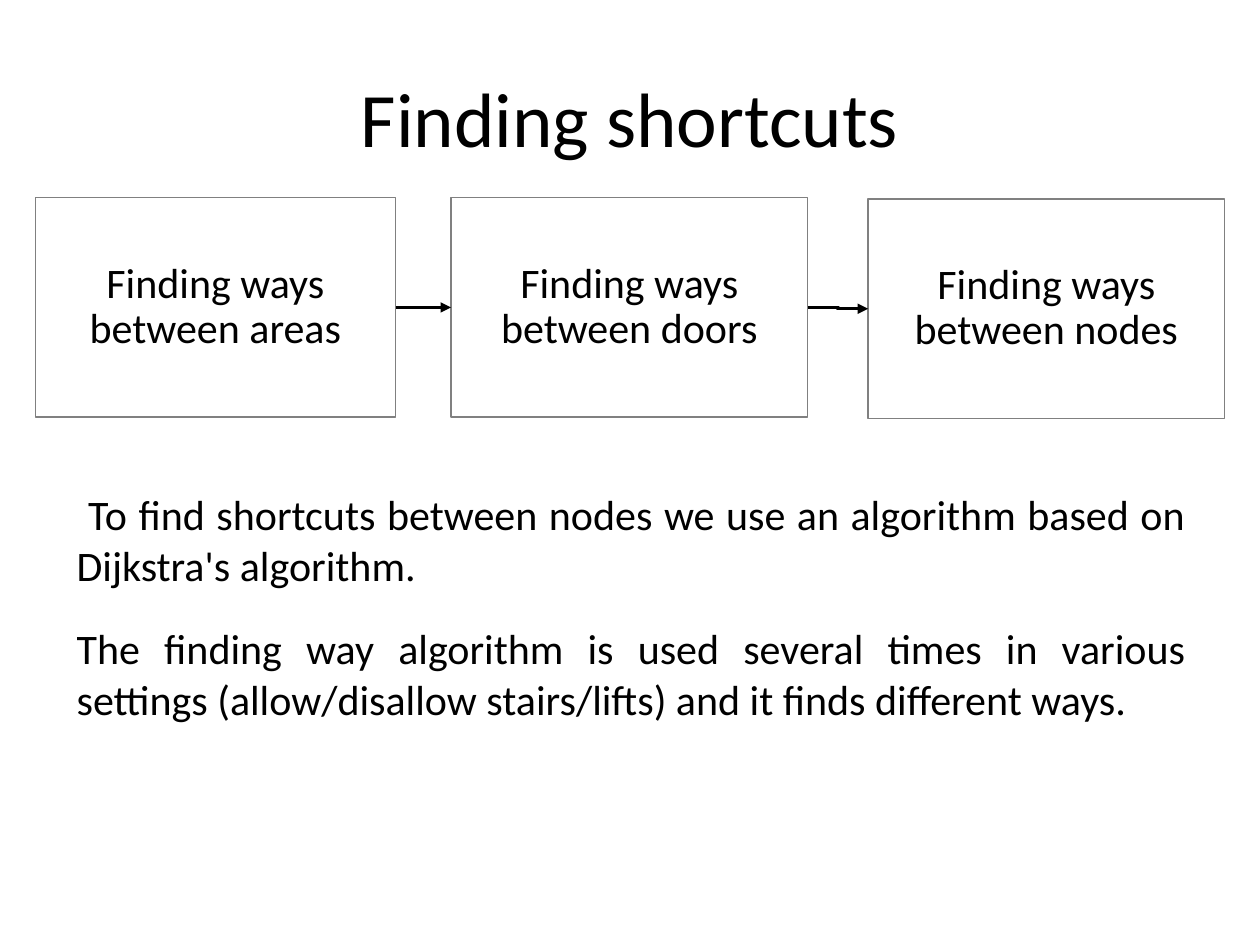
import pptx
import pptx.dml.color
import pptx.enum.shapes
import pptx.enum.text
import pptx.oxml
import pptx.oxml.ns
import pptx.util
from dataclasses import dataclass

Inches = pptx.util.Inches
Pt = pptx.util.Pt
Align = pptx.enum.text.PP_ALIGN
Anchor = pptx.enum.text.MSO_ANCHOR
Connector = pptx.enum.shapes.MSO_CONNECTOR


@dataclass(frozen=True)
class Theme:
    font: str = "Calibri"
    text: pptx.dml.color.RGBColor = pptx.dml.color.RGBColor(0, 0, 0)
    outline: pptx.dml.color.RGBColor = pptx.dml.color.RGBColor(0x80, 0x80, 0x80)
    title_size: pptx.util.Length = Pt(44)
    body_size: pptx.util.Length = Pt(24)
    hairline: pptx.util.Length = Pt(0)


theme = Theme()


def add_run(paragraph, text, size):
    run = paragraph.add_run()
    run.text = text
    run.font.name = theme.font
    run.font.size = size
    run.font.color.rgb = theme.text


presentation = pptx.Presentation()
presentation.slide_width = Inches(10)
presentation.slide_height = Inches(7.5)
slide = presentation.slides.add_slide(presentation.slide_layouts[6])

# Title
title = slide.shapes.add_textbox(Inches(0.5), Inches(0.3), Inches(9), Inches(1.25))
title.text_frame.word_wrap = True
title.text_frame.vertical_anchor = Anchor.MIDDLE
paragraph = title.text_frame.paragraphs[0]
paragraph.alignment = Align.CENTER
add_run(paragraph, "Finding shortcuts", theme.title_size)

# Explanation
body = slide.shapes.add_textbox(Inches(0.51), Inches(3.83), Inches(9), Inches(2.52))
body.text_frame.word_wrap = True
explanations = [
    " To find shortcuts between nodes we use an algorithm based on Dijkstra's algorithm.",
    "The finding way algorithm is used several times in various settings "
    "(allow/disallow stairs/lifts) and it finds different ways.",
]
for index, text in enumerate(explanations):
    if index == 0:
        paragraph = body.text_frame.paragraphs[0]
    else:
        paragraph = body.text_frame.add_paragraph()
        paragraph.space_before = Pt(4.8)
    paragraph.alignment = Align.JUSTIFY
    paragraph.space_after = Pt(14.2)
    add_run(paragraph, text, theme.body_size)

# Three steps: left, top, width, what is searched
steps = [
    (0.28, 1.57, 2.86, "areas"),
    (3.58, 1.57, 2.83, "doors"),
    (6.89, 1.58, 2.83, "nodes"),
]
boxes = []
for left, top, width, target in steps:
    box = slide.shapes.add_shape(
        pptx.enum.shapes.MSO_SHAPE.FLOWCHART_PROCESS,
        Inches(left), Inches(top), Inches(width), Inches(1.74))
    box.shadow.inherit = False
    box.fill.background()
    box.line.color.rgb = theme.outline
    box.line.width = theme.hairline
    box.text_frame.word_wrap = False
    box.text_frame.vertical_anchor = Anchor.MIDDLE
    paragraph = box.text_frame.paragraphs[0]
    paragraph.alignment = Align.CENTER
    paragraph.line_spacing = 0.9
    paragraph.space_after = Pt(6.3)
    add_run(paragraph, "Finding ways", theme.body_size)
    paragraph.add_line_break()
    add_run(paragraph, f"between {target}", theme.body_size)
    boxes.append(box)

# Arrows from each step to the next
for source, target in zip(boxes, boxes[1:]):
    kind = Connector.STRAIGHT if source.top == target.top else Connector.ELBOW
    arrow = slide.shapes.add_connector(kind, 0, 0, 0, 0)
    arrow.begin_connect(source, 3)
    arrow.end_connect(target, 1)
    arrow.line.color.rgb = theme.text
    arrow.line.width = theme.hairline
    tail = pptx.oxml.parse_xml(
        f'<a:tailEnd {pptx.oxml.ns.nsdecls("a")} type="triangle"/>')
    arrow.line._get_or_add_ln().append(tail)
    effects = pptx.oxml.parse_xml(f'<a:effectLst {pptx.oxml.ns.nsdecls("a")}/>')
    arrow._element.spPr.append(effects)

presentation.save("out.pptx")
